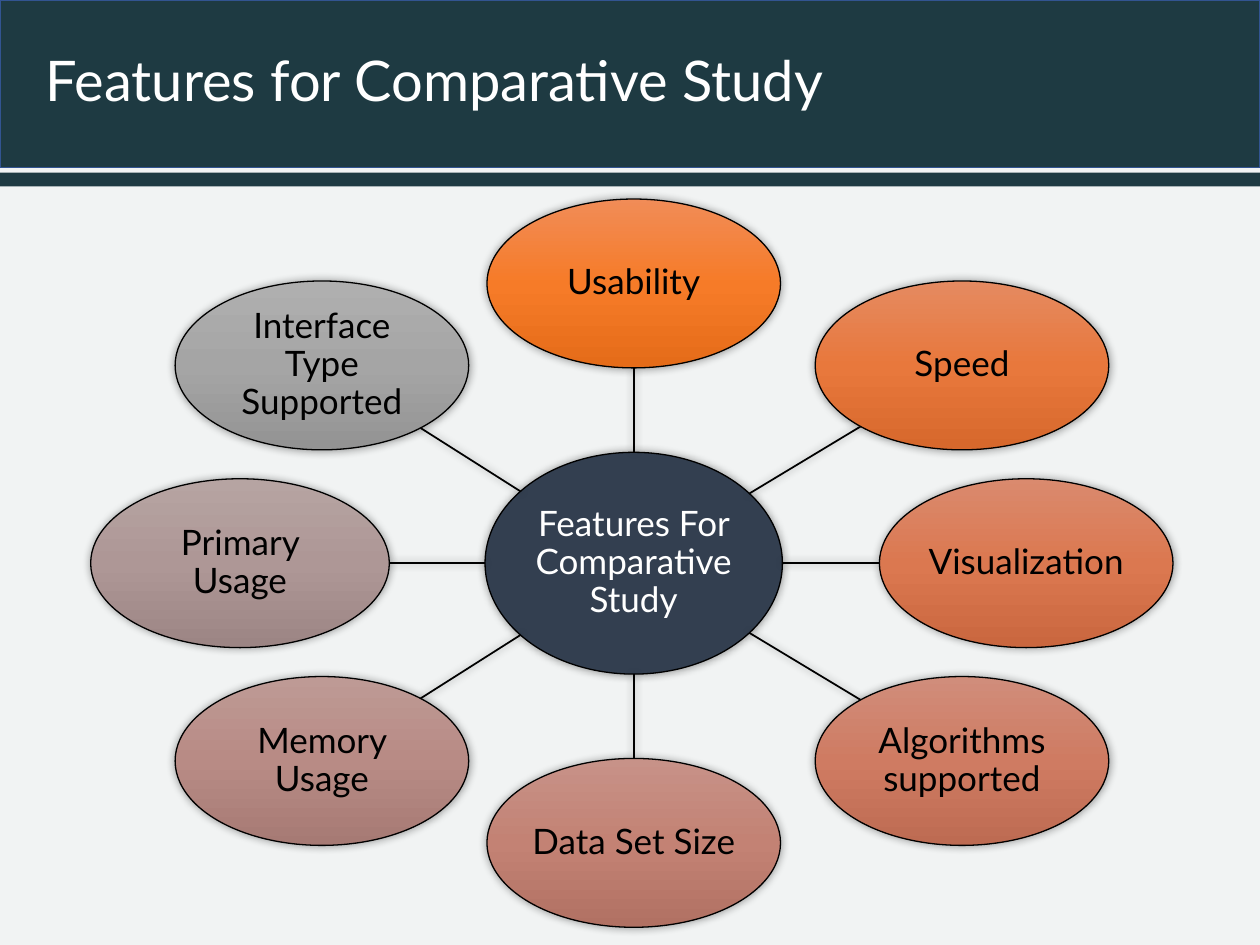
"""Build a slide with a hub of eight features for a comparative study."""
from copy import deepcopy
from dataclasses import dataclass
from math import hypot

from lxml import etree
from pptx import Presentation
from pptx.dml.color import RGBColor
from pptx.enum.shapes import MSO_CONNECTOR, MSO_SHAPE
from pptx.enum.text import MSO_ANCHOR, MSO_AUTO_SIZE, PP_ALIGN
from pptx.oxml.ns import qn
from pptx.shapes.autoshape import Shape
from pptx.slide import Slide
from pptx.text.text import TextFrame
from pptx.util import Inches, Pt

OVAL, RECTANGLE = MSO_SHAPE.OVAL, MSO_SHAPE.RECTANGLE
STRAIGHT = MSO_CONNECTOR.STRAIGHT
MIDDLE, NO_FIT = MSO_ANCHOR.MIDDLE, MSO_AUTO_SIZE.NONE
CENTER, LEFT = PP_ALIGN.CENTER, PP_ALIGN.LEFT

TEAL = RGBColor(0x1E, 0x3A, 0x42)
PALE = RGBColor(0xF1, 0xF3, 0xF3)
BLUE = RGBColor(0x32, 0x54, 0x91)
NAVY = RGBColor(0x33, 0x3F, 0x50)
WHITE = RGBColor(0xFF, 0xFF, 0xFF)
BLACK = RGBColor(0x00, 0x00, 0x00)
ORANGE = (RGBColor(0xF1, 0x8C, 0x57), RGBColor(0xF6, 0x7B, 0x28), RGBColor(0xE5, 0x6C, 0x19))
AMBER = (RGBColor(0xE5, 0x8A, 0x61), RGBColor(0xE8, 0x78, 0x3C), RGBColor(0xD7, 0x68, 0x2C))
COPPER = (RGBColor(0xDA, 0x8A, 0x6E), RGBColor(0xDB, 0x78, 0x50), RGBColor(0xCA, 0x67, 0x3F))
CORAL = (RGBColor(0xD0, 0x8D, 0x7B), RGBColor(0xCF, 0x7B, 0x62), RGBColor(0xBD, 0x6B, 0x52))
CLAY = (RGBColor(0xC7, 0x92, 0x88), RGBColor(0xC3, 0x82, 0x74), RGBColor(0xB1, 0x71, 0x63))
ROSE = (RGBColor(0xBE, 0x9A, 0x95), RGBColor(0xB8, 0x8B, 0x85), RGBColor(0xA6, 0x7A, 0x74))
MAUVE = (RGBColor(0xB6, 0xA4, 0xA2), RGBColor(0xAE, 0x97, 0x96), RGBColor(0x9C, 0x85, 0x84))
GRAY = (RGBColor(0xAF, 0xAF, 0xAF), RGBColor(0xA5, 0xA5, 0xA5), RGBColor(0x93, 0x93, 0x93))

WIDTH, HEIGHT = Inches(10), Inches(7.5)
COLUMNS = (19.05, 25.55, 50.3, 76.35, 81.45)
ROWS = (30, 38.67, 59.6, 80.53, 89.2)
FONT = "Lato"


@dataclass(frozen=True)
class Bubble:
    """An ellipse centred on a grid cell, sized in percent of the slide."""
    label: str
    column: int
    row: int
    colors: tuple[RGBColor, ...]
    width: float = 23.3
    height: float = 17.87
    text_color: RGBColor = BLACK

    @property
    def center(self) -> tuple[int, int]:
        """Return the centre of the ellipse."""
        return share_x(COLUMNS[self.column]), share_y(ROWS[self.row])

    @property
    def size(self) -> tuple[int, int]:
        """Return the width and height of the ellipse."""
        return share_x(self.width), share_y(self.height)

    def edge_toward(self, other: "Bubble") -> tuple[int, int]:
        """Return the point where a line to the other centre leaves the ellipse."""
        (x, y), (far_x, far_y), (width, height) = self.center, other.center, self.size
        dx, dy = far_x - x, far_y - y
        scale = 1 / hypot(2 * dx / width, 2 * dy / height)
        return round(x + dx * scale), round(y + dy * scale)


HUB = Bubble("Features For Comparative Study", 2, 2, (NAVY,), 23.6, 23.47, WHITE)
FEATURES = (
    Bubble("Usability", 2, 0, ORANGE),
    Bubble("Speed", 3, 1, AMBER),
    Bubble("Visualization", 4, 2, COPPER),
    Bubble("Algorithms supported", 3, 3, CORAL),
    Bubble("Data Set Size", 2, 4, CLAY),
    Bubble("Memory Usage", 1, 3, ROSE),
    Bubble("Primary Usage", 0, 2, MAUVE, 23.7),
    Bubble("Interface Type Supported", 1, 1, GRAY),
)


def share_x(percent: float) -> int:
    """Convert a percentage of the slide width to a length."""
    return round(WIDTH * percent / 100)


def share_y(percent: float) -> int:
    """Convert a percentage of the slide height to a length."""
    return round(HEIGHT * percent / 100)


def apply(target: object, values: dict[str, object]) -> None:
    """Set every named value on the target."""
    for name, value in values.items():
        setattr(target, name, value)


def write_text(frame: TextFrame, text: str, size: int, color: RGBColor,
               alignment: PP_ALIGN, margins: dict[str, object]) -> None:
    """Fill a text frame with one formatted paragraph."""
    frame.text = text
    apply(frame, {"word_wrap": True, "auto_size": NO_FIT, "vertical_anchor": MIDDLE} | margins)
    paragraph = frame.paragraphs[0]
    apply(paragraph, {"alignment": alignment, "line_spacing": 0.9})
    font = paragraph.runs[0].font
    apply(font, {"name": FONT, "size": Pt(size)})
    font.color.rgb = color


def add_glow(properties: etree.ElementBase) -> None:
    """Give shape properties a soft centred shadow."""
    for old in properties.findall(qn("a:effectLst")):
        properties.remove(old)
    effects = etree.SubElement(properties, qn("a:effectLst"))
    shadow = etree.SubElement(effects, qn("a:outerShdw"), blurRad=str(Pt(5)),
                              dist="0", dir="0", rotWithShape="0")
    color = etree.SubElement(shadow, qn("a:srgbClr"), val=str(BLACK))
    etree.SubElement(color, qn("a:alpha"), val="40000")


def paint(shape: Shape, colors: tuple[RGBColor, ...]) -> None:
    """Fill a shape with one colour or a three-stop gradient from the top."""
    fill = shape.fill
    if len(colors) == 1:
        fill.solid()
        fill.fore_color.rgb = colors[0]
        return
    fill.gradient()
    fill.gradient_angle = 270
    first = next(shape.element.spPr.iter(qn("a:gs")))
    first.addnext(deepcopy(first))
    for stop, position, color in zip(fill.gradient_stops, (0, 0.5, 1), colors):
        stop.position = position
        stop.color.rgb = color


def add_bar(slide: Slide, top: float, height: float) -> Shape:
    """Add a full-width header bar behind the title."""
    bar = slide.shapes.add_shape(RECTANGLE, 0, share_y(top), WIDTH, share_y(height))
    bar.shadow.inherit = False
    paint(bar, (TEAL,))
    bar.line.fill.background()
    slide.shapes.title.element.addprevious(bar.element)
    return bar


def add_header(slide: Slide) -> None:
    """Add the title and its two bars."""
    band = add_bar(slide, 0, 17.73)
    band.line.color.rgb = BLUE
    band.line.width = Pt(1)
    add_bar(slide, 18.27, 1.47)
    title = slide.shapes.title
    apply(title, {"left": share_x(2.6), "top": 0,
                  "width": share_x(97.4), "height": share_y(17.73)})
    write_text(title.text_frame, "Features for Comparative Study", 32, WHITE, LEFT, {})


def add_bubble(slide: Slide, bubble: Bubble) -> None:
    """Add a labelled ellipse."""
    (x, y), (width, height) = bubble.center, bubble.size
    ellipse = slide.shapes.add_shape(OVAL, x - width // 2, y - height // 2, width, height)
    paint(ellipse, bubble.colors)
    ellipse.line.color.rgb = BLACK
    ellipse.line.width = Pt(0.75)
    add_glow(ellipse.element.spPr)
    margins = {f"margin_{side}": Inches(0.01) for side in ("left", "top", "right", "bottom")}
    write_text(ellipse.text_frame, bubble.label, 20, bubble.text_color, CENTER, margins)


def add_spoke(slide: Slide, feature: Bubble) -> None:
    """Join the hub to a feature, edge to edge."""
    start, end = HUB.edge_toward(feature), feature.edge_toward(HUB)
    spoke = slide.shapes.add_connector(STRAIGHT, *start, *end)
    spoke.line.color.rgb = BLACK
    spoke.line.width = Pt(1)
    add_glow(spoke.element.spPr)


def main() -> None:
    """Build and save the slide."""
    deck = Presentation()
    apply(deck, {"slide_width": WIDTH, "slide_height": HEIGHT})
    slide = deck.slides.add_slide(deck.slide_layouts.get_by_name("Title Only"))
    background = slide.background.fill
    background.solid()
    background.fore_color.rgb = PALE
    add_header(slide)
    add_bubble(slide, HUB)
    for feature in FEATURES:
        add_spoke(slide, feature)
        add_bubble(slide, feature)
    deck.save("out.pptx")


if __name__ == "__main__":
    main()
